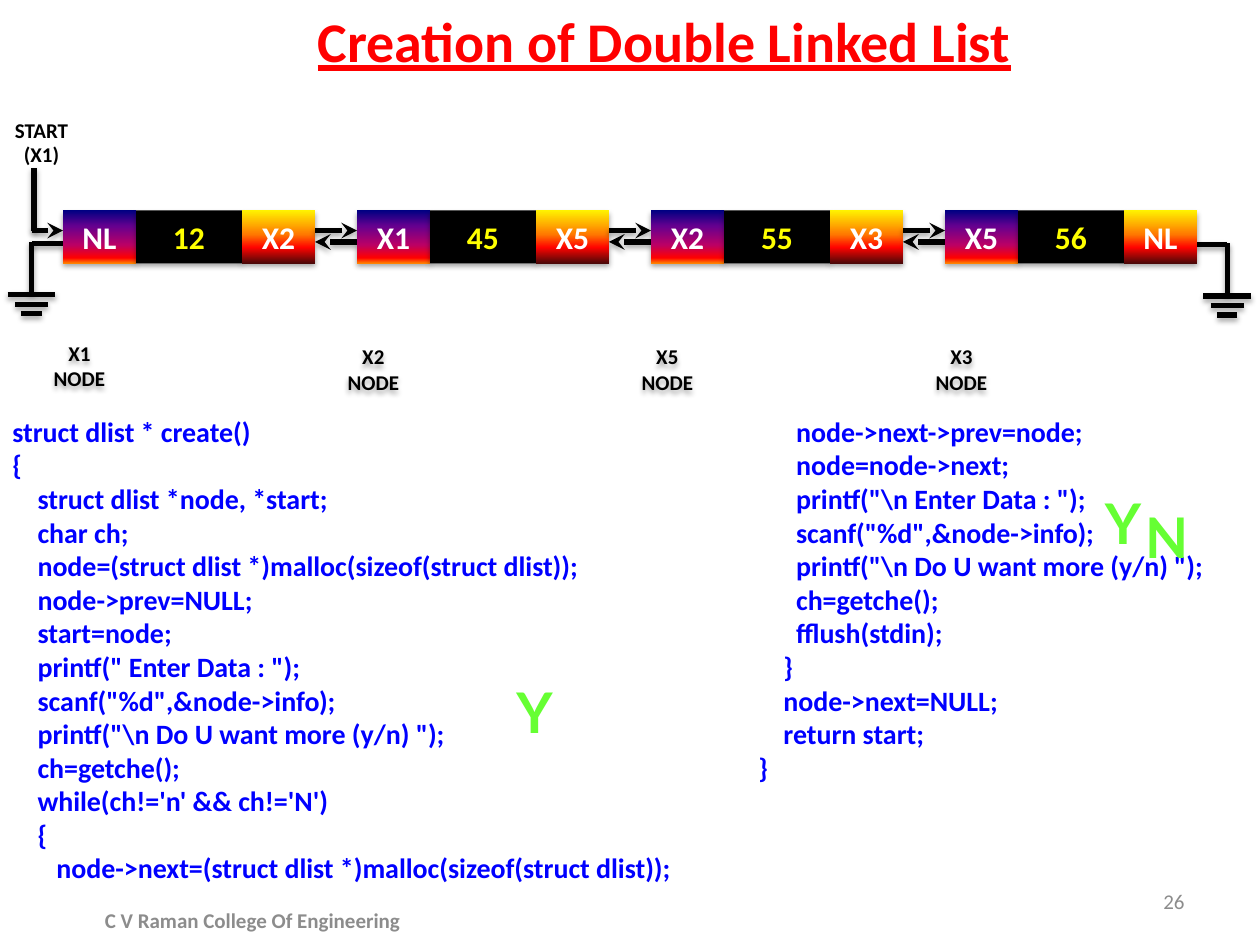
"""Build a slide on creating a double linked list."""
from lxml import etree
from pptx import Presentation
from pptx.dml.color import RGBColor
from pptx.enum.shapes import MSO_CONNECTOR, MSO_SHAPE
from pptx.enum.text import MSO_ANCHOR, PP_ALIGN
from pptx.oxml.ns import qn
from pptx.util import Inches, Pt

LINE = MSO_CONNECTOR.STRAIGHT
RECT, OVAL, WAVE = MSO_SHAPE.RECTANGLE, MSO_SHAPE.OVAL, MSO_SHAPE.WAVE
TOP, MIDDLE = MSO_ANCHOR.TOP, MSO_ANCHOR.MIDDLE
LEFT, CENTER, RIGHT = PP_ALIGN.LEFT, PP_ALIGN.CENTER, PP_ALIGN.RIGHT

BLACK, WHITE, YELLOW, GREY = "000000", "FFFFFF", "FFFF00", "8C8C8C"
RED, BLUE, GREEN = "FF0000", "0000FF", "66FF33"
DUSK = [(0, "000082"), (30, "66008F"), (65, "BA0066"), (90, "FF0000"), (100, "FF8200")]
FIRE = [(0, "FFF200"), (45, "FF7A00"), (70, "FF0300"), (100, "4D0808")]

NODES = [
    ("X1", "NL", "12", "X2"),
    ("X2", "X1", "45", "X5"),
    ("X5", "X2", "55", "X3"),
    ("X3", "X5", "56", "NL"),
]
START_X, PITCH, NODE_W = 0.5, 7 / 3, 2
CELL_W, INFO_W, CELL_Y, CELL_H = 0.58, 0.84, 1.67, 0.42

CODE_A = r"""struct dlist * create()
{
    struct dlist *node, *start;
    char ch;
    node=(struct dlist *)malloc(sizeof(struct dlist));
    node->prev=NULL;
    start=node;
    printf(" Enter Data : ");
    scanf("%d",&node->info);
    printf("\n Do U want more (y/n) ");
    ch=getche();
    while(ch!='n' && ch!='N')
    {
       node->next=(struct dlist *)malloc(sizeof(struct dlist));"""
CODE_B = r"""      node->next->prev=node;
      node=node->next;
      printf("\n Enter Data : ");
      scanf("%d",&node->info);
      printf("\n Do U want more (y/n) ");
      ch=getche();
      fflush(stdin);
    }
    node->next=NULL;
    return start;
}"""


def color(code):
    """Turn a hex string into a colour."""
    return RGBColor.from_string(code)


def write(shape, text, size, tint, align=LEFT, anchor=TOP, bold=True,
          face="Calibri", wrap=True):
    """Fill a shape with lines of text in one style."""
    frame = shape.text_frame
    frame.text = text
    frame.word_wrap = wrap
    frame.vertical_anchor = anchor
    for line in frame.paragraphs:
        line.alignment = align
        font = line.font
        font.name, font.size, font.bold = face, Pt(size), bold
        font.color.rgb = color(tint)


def add_text(slide, box, text, size, tint, **style):
    """Add a text box."""
    shape = slide.shapes.add_textbox(*map(Inches, box))
    write(shape, text, size, tint, **style)


def shade(shape):
    """Give a shape or line a soft shadow below."""
    props = shape._element.spPr
    list_ = props.find(qn("a:effectLst"))
    if list_ is None:
        list_ = etree.SubElement(props, qn("a:effectLst"))
    drop = etree.SubElement(list_, qn("a:outerShdw"), blurRad=str(Pt(3.1)),
                            dist=str(Pt(1.8)), dir="5400000", rotWithShape="0")
    tone = etree.SubElement(drop, qn("a:srgbClr"), val=BLACK)
    etree.SubElement(tone, qn("a:alpha"), val="35000")


def blend(shape, stops):
    """Fill a shape with a gradient from top to bottom."""
    shape.fill.gradient()
    shape.fill.gradient_angle = 270
    list_ = next(shape._element.spPr.iter(qn("a:gsLst")))
    for stop in list(list_):
        list_.remove(stop)
    for place, code in stops:
        stop = etree.SubElement(list_, qn("a:gs"), pos=str(place * 1000))
        etree.SubElement(stop, qn("a:srgbClr"), val=code)


def add_shape(slide, kind, box):
    """Add a preset shape with no line, fill or shadow."""
    shape = slide.shapes.add_shape(kind, *map(Inches, box))
    shape.shadow.inherit = False
    shape.line.fill.background()
    shape.fill.background()
    return shape


def add_cell(slide, x, width, text, tint, stops=None):
    """Add one field of a list node."""
    cell = add_shape(slide, RECT, (x, CELL_Y, width, CELL_H))
    if stops:
        blend(cell, stops)
    else:
        cell.fill.solid()
        cell.fill.fore_color.rgb = color(BLACK)
    write(cell, text, 18, tint, align=CENTER, anchor=MIDDLE)
    shade(cell)


def add_label(slide, x, y, name):
    """Add the caption below a node."""
    label = add_shape(slide, OVAL, (x, y, 0.92, 0.52))
    write(label, f"{name}\nNODE", 12, BLACK, align=CENTER, anchor=MIDDLE, wrap=False)
    shade(label)


def add_line(slide, x1, y1, x2, y2, arrow=False):
    """Add a thick black line, with an arrowhead if asked."""
    line = slide.shapes.add_connector(LINE, *map(Inches, (x1, y1, x2, y2)))
    line.line.width = Pt(3)
    line.line.color.rgb = color(BLACK)
    if arrow:
        etree.SubElement(line.line._get_or_add_ln(), qn("a:tailEnd"), type="stealth")
    shade(line)


def add_ground(slide, edge, x, y):
    """Add a ground sign that ends the list."""
    add_line(slide, edge, y, x, y)
    add_line(slide, x, y - 0.01, x, y + 0.4)
    for row, half in enumerate((0.19, 0.13, 0.08)):
        level = y + 0.41 + row * 0.075
        add_line(slide, x - half, level, x + half, level)


def add_start(slide):
    """Add the start pointer and its arrow."""
    start = add_shape(slide, WAVE, (-0.17, 0.75, 1, 0.58))
    write(start, "START\n(X1)", 12, BLACK, align=CENTER)
    for line in start.text_frame.paragraphs:
        line.line_spacing = 0.95
    add_line(slide, 0.27, 1.83, 0.27, 1.33)
    add_line(slide, 0.25, 1.83, START_X, 1.83, arrow=True)


def add_list(slide):
    """Add the nodes with the links between them."""
    for index, (name, prev, info, after) in enumerate(NODES):
        x = START_X + index * PITCH
        if index:
            end = x - PITCH + NODE_W
            add_line(slide, end, 1.83, x, 1.83, arrow=True)
            add_line(slide, x, 1.92, end, 1.92, arrow=True)
        add_label(slide, x - 0.33, 2.67 if index else 2.64, name)
        add_cell(slide, x, CELL_W, prev, WHITE, DUSK)
        add_cell(slide, x + CELL_W, INFO_W, info, YELLOW)
        add_cell(slide, x + CELL_W + INFO_W, CELL_W, after, WHITE, FIRE)


def add_title(slide, text):
    """Place and style the title."""
    title = slide.shapes.title
    title.left, title.top, title.width, title.height = map(Inches, (2.42, 0, 5.74, 0.64))
    write(title, text, 32, RED, wrap=False)
    title.text_frame.paragraphs[0].font.underline = True


def main():
    """Build and save the slide."""
    deck = Presentation()
    deck.slide_width, deck.slide_height = Inches(10), Inches(7.5)
    slide = deck.slides.add_slide(deck.slide_layouts[5])
    add_title(slide, "Creation of Double Linked List")
    add_text(slide, (7.17, 6.95, 2.33, 0.4), "26", 12, GREY,
             align=RIGHT, anchor=MIDDLE, bold=False)
    add_text(slide, (0.67, 7.1, 2.67, 0.4), "C V Raman College Of Engineering",
             12, GREY, align=CENTER, anchor=MIDDLE)
    add_text(slide, (0, 3.24, 5.67, 3.87), CODE_A, 16, BLUE)
    add_text(slide, (5.92, 3.24, 4, 3.06), CODE_B, 16, BLUE)
    for x, y, width, key in ((8.67, 3.83, 0.49, "Y"), (8.99, 3.94, 0.59, "N"),
                             (4, 5.33, 0.49, "Y")):
        add_text(slide, (x, y, width, 0.64), key, 32, GREEN, face="Lato", wrap=False)
    add_ground(slide, START_X, 0.25, 1.93)
    add_ground(slide, 9.49, 9.74, 1.94)
    add_start(slide)
    add_list(slide)
    deck.save("out.pptx")


if __name__ == "__main__":
    main()
